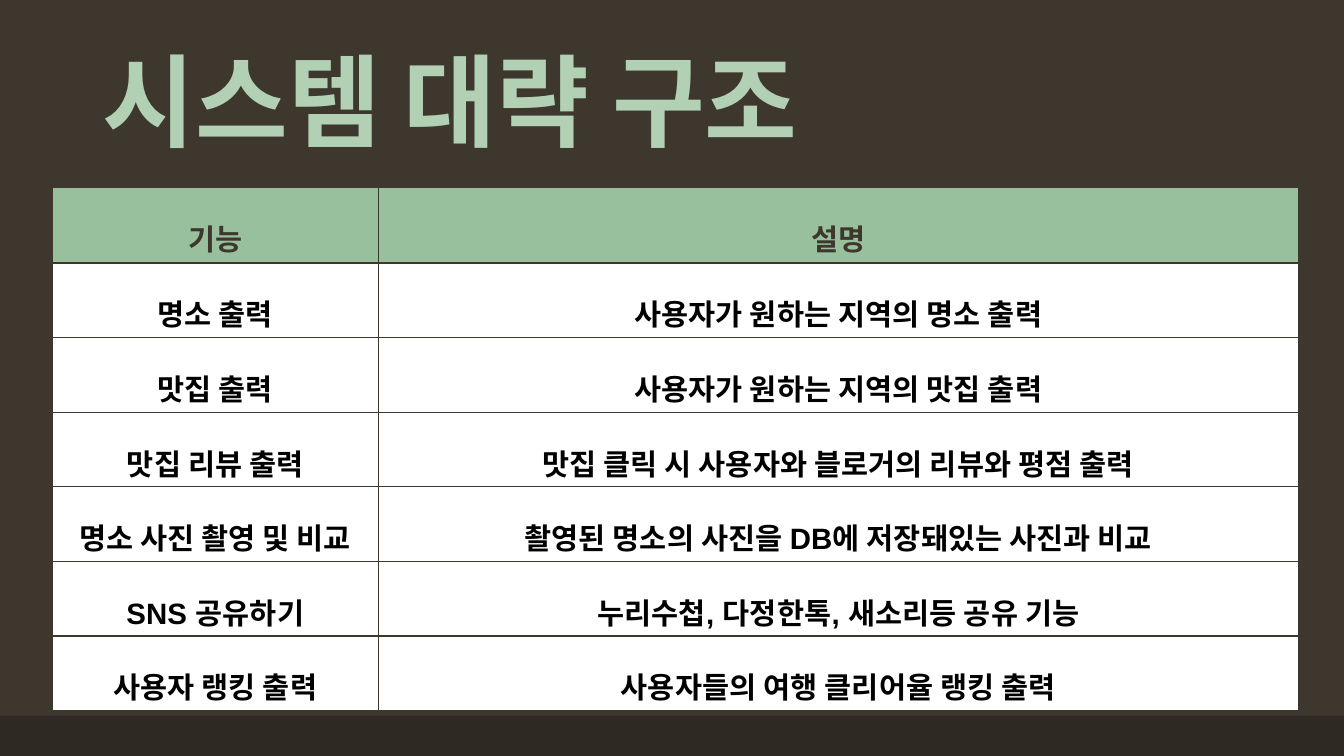
from dataclasses import dataclass

from lxml.etree import SubElement
from pptx import Presentation
from pptx.dml.color import RGBColor
from pptx.enum.shapes import MSO_SHAPE
from pptx.enum.text import MSO_ANCHOR, PP_ALIGN
from pptx.oxml.ns import qn
from pptx.slide import Slide
from pptx.table import _Cell as Cell
from pptx.text.text import TextFrame
from pptx.util import Inches, Pt

BROWN = RGBColor(0x3D, 0x37, 0x2E)
DARK = RGBColor(0x2E, 0x29, 0x23)
MINT = RGBColor(0xB2, 0xD0, 0xB4)
GREEN = RGBColor(0x99, 0xC0, 0x9C)
WHITE = RGBColor(0xFF, 0xFF, 0xFF)
BLACK = RGBColor(0, 0, 0)


@dataclass
class Row:
    name: str
    about: str
    fill: RGBColor = WHITE
    color: RGBColor = BLACK
    track: int = 10
    height: float = 0.74


ROWS = [
    Row("기능", "설명", GREEN, BROWN, 0, 0.75),
    Row("명소 출력", "사용자가 원하는 지역의 명소 출력"),
    Row("맛집 출력", "사용자가 원하는 지역의 맛집 출력"),
    Row("맛집 리뷰 출력", "맛집 클릭 시 사용자와 블로거의 리뷰와 평점 출력"),
    Row("명소 사진 촬영 및 비교", "촬영된 명소의 사진을 DB에 저장돼있는 사진과 비교"),
    Row("SNS 공유하기", "누리수첩, 다정한톡, 새소리등 공유 기능"),
    Row("사용자 랭킹 출력", "사용자들의 여행 클리어율 랭킹 출력"),
]
WIDTHS = [3.23, 9.13]


def write(frame: TextFrame, text: str, *, size: float, color: RGBColor,
          align: PP_ALIGN = PP_ALIGN.LEFT, space: float = 1.0,
          track: int = 0) -> None:
    para = frame.paragraphs[0]
    para.alignment = align
    para.line_spacing = space
    run = para.add_run()
    run.text = text
    font = run.font
    font.name = "Arial"
    font.size = Pt(size)
    font.bold = True
    font.color.rgb = color
    if track:
        run._r.get_or_add_rPr().set("spc", str(track))


def border(cell: Cell, color: RGBColor) -> None:
    props = cell._tc.get_or_add_tcPr()
    for index, side in enumerate(("lnL", "lnR", "lnT", "lnB")):
        line = SubElement(props, qn(f"a:{side}"), w=str(Pt(1)))
        solid = SubElement(line, qn("a:solidFill"))
        SubElement(solid, qn("a:srgbClr"), val=str(color))
        props.insert(index, line)


def fill_cell(cell: Cell, text: str, row: Row) -> None:
    cell.fill.solid()
    cell.fill.fore_color.rgb = row.fill
    cell.vertical_anchor = MSO_ANCHOR.MIDDLE
    cell.margin_left = cell.margin_right = Inches(0.07)
    cell.margin_top = cell.margin_bottom = Inches(0.02)
    write(cell.text_frame, text, size=21, color=row.color,
          align=PP_ALIGN.CENTER, space=1.6, track=row.track)
    border(cell, BROWN)


def add_band(slide: Slide) -> None:
    band = slide.shapes.add_shape(MSO_SHAPE.RECTANGLE, Inches(0), Inches(7.1),
                                  Inches(13.33), Inches(0.4))
    band.shadow.inherit = False
    band.fill.solid()
    band.fill.fore_color.rgb = DARK
    band.line.fill.background()


def add_title(slide: Slide, text: str) -> None:
    box = slide.shapes.add_textbox(Inches(0.92), Inches(0.4),
                                   Inches(11.5), Inches(1.25))
    frame = box.text_frame
    frame.word_wrap = True
    frame.vertical_anchor = MSO_ANCHOR.BOTTOM
    write(frame, text, size=72, color=MINT, space=0.9)


def add_grid(slide: Slide, rows: list[Row]) -> None:
    high = sum(row.height for row in rows)
    table = slide.shapes.add_table(len(rows), len(WIDTHS), Inches(0.52),
                                   Inches(1.86), Inches(sum(WIDTHS)),
                                   Inches(high)).table
    for column, width in zip(table.columns, WIDTHS):
        column.width = Inches(width)
    for line, row in zip(table.rows, rows):
        line.height = Inches(row.height)
        for cell, text in zip(line.cells, (row.name, row.about)):
            fill_cell(cell, text, row)


def main() -> None:
    deck = Presentation()
    deck.slide_width = Inches(13.33)
    deck.slide_height = Inches(7.5)
    slide = deck.slides.add_slide(deck.slide_layouts[6])
    slide.background.fill.solid()
    slide.background.fill.fore_color.rgb = BROWN
    add_band(slide)
    add_title(slide, "시스템 대략 구조")
    add_grid(slide, ROWS)
    deck.save("out.pptx")


if __name__ == "__main__":
    main()
